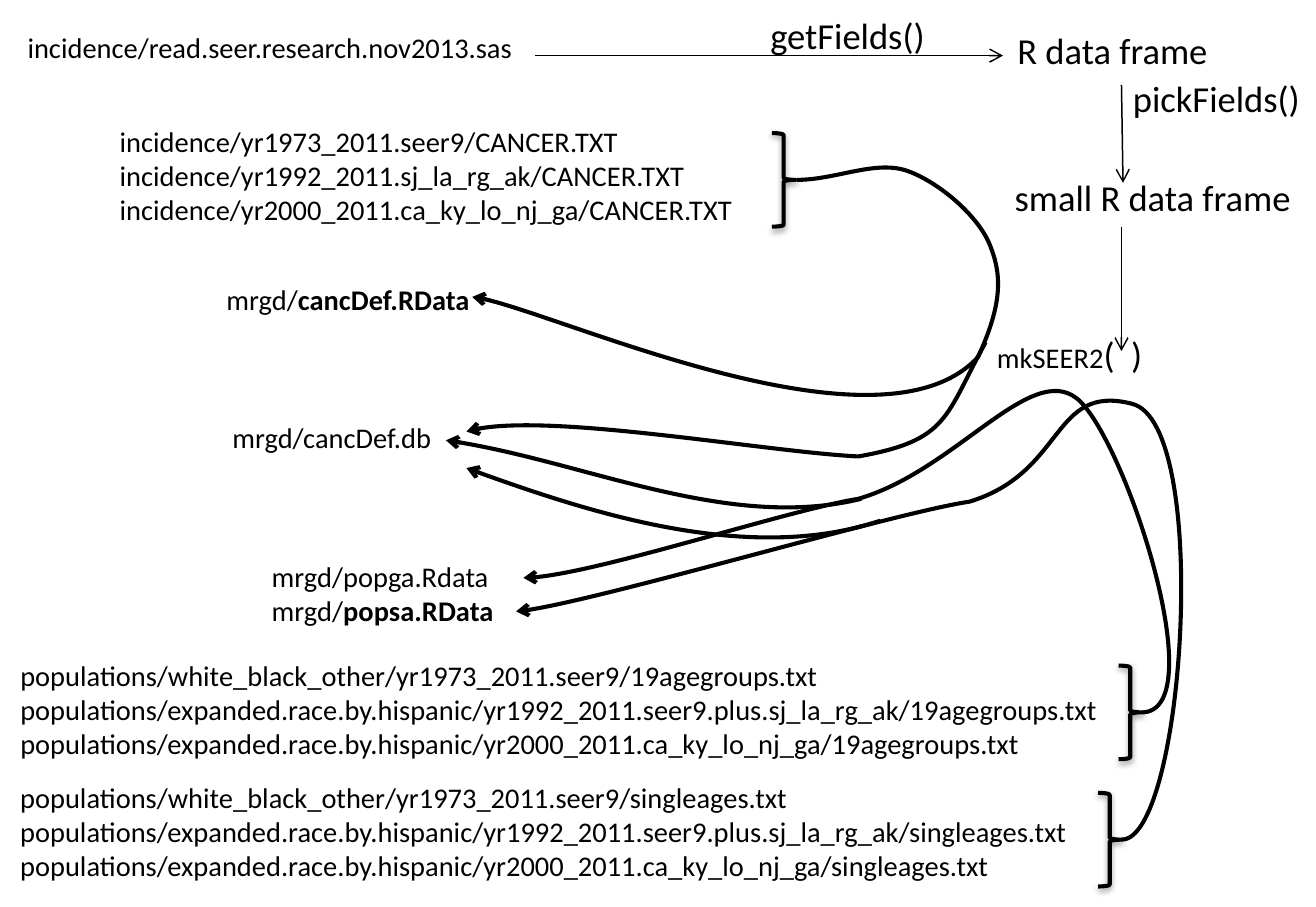
from lxml.etree import SubElement
from pptx import Presentation
from pptx.dml.color import RGBColor
from pptx.enum.shapes import MSO_CONNECTOR, MSO_SHAPE
from pptx.enum.text import MSO_AUTO_SIZE
from pptx.oxml.ns import qn
from pptx.util import Inches, Pt

BLACK = RGBColor(0, 0, 0)
WHITE = RGBColor(255, 255, 255)
COLUMNS, ROWS = 90, 62
SMALL, LARGE = 14, 18
LINE_PITCH = 17.1


class FlowSlide:
    font_format = {"name": "Calibri"}
    frame_format = {"word_wrap": False, "auto_size": MSO_AUTO_SIZE.SHAPE_TO_FIT_TEXT}
    thin, thick = 0.75, 2

    def __init__(self, deck):
        self.slide = deck.slides.add_slide(deck.slide_layouts[6])
        self.shapes = self.slide.shapes
        self.cell_width = deck.slide_width / COLUMNS
        self.cell_height = deck.slide_height / ROWS

    def place(self, *lengths):
        cells = (self.cell_width, self.cell_height)
        return [round(length * cells[i % 2]) for i, length in enumerate(lengths)]

    def outline(self, element, color, width, arrow=False):
        element.line.color.rgb = color
        element.line.width = Pt(width)
        if arrow:
            stroke = element._element.spPr.find(qn("a:ln"))
            SubElement(stroke, qn("a:tailEnd"), type="arrow")

    def add_runs(self, paragraph, runs, size):
        for words, bold in runs:
            run = paragraph.add_run()
            run.text = words
            for key, value in {**self.font_format, "size": Pt(size), "bold": bold}.items():
                setattr(run.font, key, value)
            run.font.color.rgb = BLACK

    def text(self, area, lines, size=SMALL):
        box = self.shapes.add_textbox(*self.place(*area))
        self.outline(box, WHITE, self.thin)
        frame = box.text_frame
        for key, value in self.frame_format.items():
            setattr(frame, key, value)
        for index, line in enumerate(lines):
            paragraph = frame.paragraphs[0] if index == 0 else frame.add_paragraph()
            runs = [(line, False)] if isinstance(line, str) else line
            self.add_runs(paragraph, runs, size)
        return frame

    def arrow(self, start, end):
        connector = self.shapes.add_connector(
            MSO_CONNECTOR.STRAIGHT, *self.place(*start), *self.place(*end))
        self.outline(connector, BLACK, self.thin, arrow=True)
        SubElement(connector._element.spPr, qn("a:effectLst"))

    def curve(self, start, *points):
        builder = self.shapes.build_freeform(*self.place(*start))
        builder.add_line_segments([self.place(*point) for point in points], close=False)
        flow = builder.convert_to_shape()
        flow.fill.background()
        flow.shadow.inherit = False
        self.outline(flow, BLACK, self.thick, arrow=True)
        route = next(flow._element.iter(qn("a:path")))
        route.set("fill", "none")
        steps = route.findall(qn("a:lnTo"))
        for first in range(0, len(steps), 3):
            bend = SubElement(route, qn("a:cubicBezTo"))
            for step in steps[first:first + 3]:
                bend.append(step[0])
                route.remove(step)

    def brace(self, area):
        brace = self.shapes.add_shape(MSO_SHAPE.RIGHT_BRACE, *self.place(*area))
        brace.fill.background()
        self.outline(brace, BLACK, self.thick)
        brace.shadow.inherit = False
        effects = brace._element.spPr.find(qn("a:effectLst"))
        shadow = SubElement(effects, qn("a:outerShdw"), blurRad=str(Pt(3.1)),
                            dist=str(Pt(1.6)), dir="5400000", rotWithShape="0")
        tint = SubElement(shadow, qn("a:srgbClr"), val=str(BLACK))
        SubElement(tint, qn("a:alpha"), val="38000")


def population_files(ages):
    return [f"populations/{folder}/{ages}.txt" for folder in (
        "white_black_other/yr1973_2011.seer9",
        "expanded.race.by.hispanic/yr1992_2011.seer9.plus.sj_la_rg_ak",
        "expanded.race.by.hispanic/yr2000_2011.ca_ky_lo_nj_ga")]


def main():
    deck = Presentation()
    deck.slide_width, deck.slide_height = Inches(9), Inches(6.2)
    flow = FlowSlide(deck)

    registries = ("yr1973_2011.seer9", "yr1992_2011.sj_la_rg_ak",
                  "yr2000_2011.ca_ky_lo_nj_ga")
    flow.text((7.2, 8, 46.2, 8.1), [f"incidence/{name}/CANCER.TXT" for name in registries])

    merged = flow.text((14.5, 16.4, 20.5, 29.3), [
        [("mrgd/", False), ("cancDef.RData", True)],
        "mrgd/cancDef.db",
        "mrgd/popga.Rdata",
        [("mrgd/", False), ("popsa.RData", True)]])
    merged.margin_top += Pt(LINE_PITCH)
    spacing = ((0, 0), (3, 0.04), (3, 0.31), (0, 0.31))
    for paragraph, (gap_lines, indent) in zip(merged.paragraphs, spacing):
        paragraph.space_before = Pt(gap_lines * LINE_PITCH)
        paragraph._p.get_or_add_pPr().set("marL", str(Inches(indent)))

    flow.text((0.9, 1.6, 35.7, 3.4), ["incidence/read.seer.research.nov2013.sas"])
    for area, label in (
            ((51.7, 0.4, 12.7, 4), "getFields()"),
            ((68.6, 1.4, 15.3, 4), "R data frame"),
            ((76.5, 4.7, 13.6, 4), "pickFields()"),
            ((68.4, 11.5, 21.2, 4), "small R data frame")):
        flow.text(area, [label], LARGE)
    maker = flow.text((67.2, 22.2, 12, 4), [[("mkSEER2", False), ("(  )", False)]], LARGE)
    maker.paragraphs[0].runs[0].font.size = Pt(SMALL)

    for start, end in (((36.6, 3.8), (68.6, 3.8)),
                       ((76.7, 5.8), (76.8, 12.5)),
                       ((76.7, 15.5), (76.7, 24))):
        flow.arrow(start, end)

    for top, width, ages in ((44.5, 78.1, "19agegroups"), (52.8, 76, "singleages")):
        flow.text((0.4, top, width, 8.1), population_files(ages))

    for route in (
            ((54.5, 12.3), (57.2, 12.3), (59.9, 10.9), (62.1, 11.7),
             (64.3, 12.5), (67.1, 14.9), (67.8, 17),
             (68.6, 19.1), (68.4, 21.1), (66.9, 24.4),
             (60.3, 31.6), (36.9, 20.8), (32.3, 20.3)),
            ((67.4, 23.4), (64.6, 28.5), (64.9, 30.1), (58.7, 31.2),
             (52.5, 30.9), (36.6, 28), (31.9, 29.5)),
            ((78.1, 48.7), (83.1, 48.6), (76.8, 29.6), (73.6, 27.2),
             (70.4, 24.8), (65.3, 32.2), (58.7, 34.1),
             (53.8, 34.9), (40, 39.5), (35.8, 39.5)),
            ((58.9, 34.1), (49.9, 36.3), (39.7, 31.4), (30.5, 30.1)),
            ((76.7, 57.4), (81, 57.5), (82.9, 28.9), (77.4, 27.6),
             (71.9, 26.2), (72.9, 32.3), (66.3, 34.3),
             (61.4, 35), (39.5, 41.5), (35.3, 41.8)),
            ((60.2, 35.6), (51.2, 38.6), (39.6, 34.8), (31.9, 32))):
        flow.curve(*route)

    for left, top in ((76.5, 45.5), (75.1, 54.2), (52.8, 9.1)):
        flow.brace((left, top, 1.6, 6.4))

    deck.save("out.pptx")


if __name__ == "__main__":
    main()
